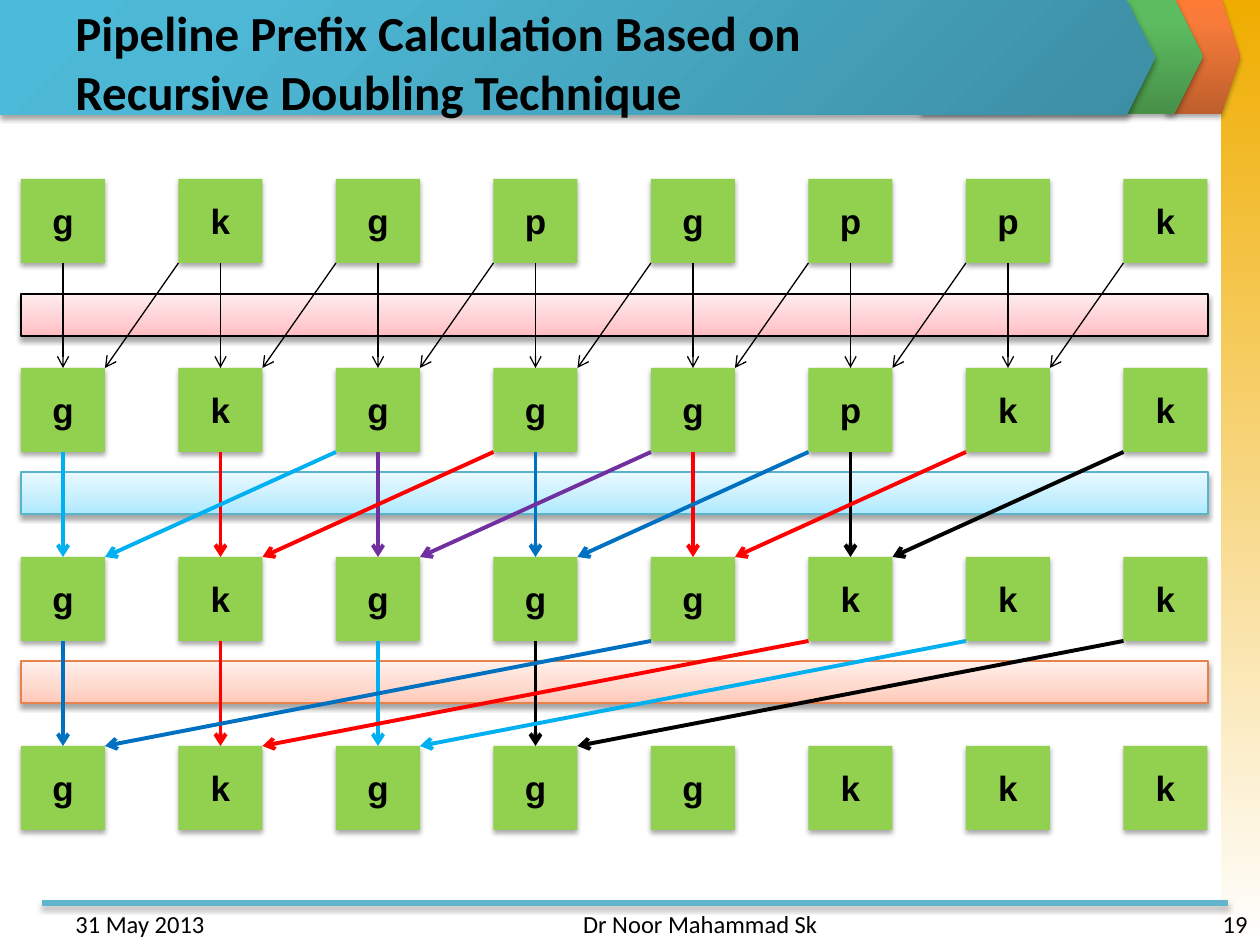
"""Build the slide on pipelined prefix calculation by recursive doubling."""
from dataclasses import dataclass

from lxml.etree import SubElement
from pptx import Presentation
from pptx.dml.color import RGBColor
from pptx.enum.shapes import MSO_CONNECTOR, MSO_SHAPE
from pptx.enum.text import MSO_ANCHOR, PP_ALIGN
from pptx.oxml.ns import qn
from pptx.util import Emu, Pt


@dataclass(frozen=True)
class Theme:
    black: str = "000000"
    red: str = "FF0000"
    blue: str = "0070C0"
    sky: str = "00B0F0"
    purple: str = "7030A0"
    cell: str = "92D050"
    rule: str = "60B5CC"
    sidebar: tuple = ((0, "F0AD00"), (100, "FFFFFF"))
    orange_tab: tuple = ((0, "BE5F2C"), (80, "F77B39"), (100, "FC7B35"))
    green_tab: tuple = ((0, "479149"), (80, "5DBC5F"), (100, "5BBF5E"))
    banner: tuple = ((0, "3C8EA4"), (80, "4DB8D5"), (100, "4BBBD9"))
    pink_bar: tuple = ((0, "FFBCC2"), (35, "FFCFD3"), (100, "FFEDEE"))
    sky_bar: tuple = ((0, "ADE9FF"), (35, "C5EFFF"), (100, "E9F9FF"))
    peach_bar: tuple = ((0, "FFC8B7"), (35, "FFD8CC"), (100, "FFF0EC"))
    sky_edge: str = "5BB3CA"
    peach_edge: str = "E7824C"
    heading_font: str = "Calibri"
    cell_font: str = "Arial"
    title_size: int = 28
    cell_size: int = 20
    footer_size: int = 14
    thin: float = 0.75
    thick: float = 2.25
    rule_width: int = 3


def px(length):
    return Emu(round(length * 914400 / 126))


def write_text(frame, text, *, font, size, color, bold=False,
               align=PP_ALIGN.LEFT, anchor=MSO_ANCHOR.TOP):
    frame.word_wrap = True
    frame.vertical_anchor = anchor
    paragraph = frame.paragraphs[0]
    paragraph.text = text
    paragraph.alignment = align
    for run in paragraph.runs:
        run.font.name = font
        run.font.size = Pt(size)
        run.font.bold = bold
        run.font.color.rgb = RGBColor.from_string(color)


class SlideBuilder:
    def __init__(self, slide, theme):
        self.slide = slide
        self.theme = theme

    def effects(self, item, shadow):
        properties = item._element.spPr
        effect_list = SubElement(properties, qn("a:effectLst"))
        if shadow:
            outer = SubElement(effect_list, qn("a:outerShdw"), blurRad=str(Pt(3.1)),
                               dist=str(Pt(1.8)), dir="5400000", rotWithShape="0")
            color = SubElement(outer, qn("a:srgbClr"), val=self.theme.black)
            SubElement(color, qn("a:alpha"), val="35000")

    def gradient(self, shape, stops, angle):
        shape.fill.gradient()
        fill = shape._element.spPr.find(qn("a:gradFill"))
        for child in list(fill):
            fill.remove(child)
        stop_list = SubElement(fill, qn("a:gsLst"))
        for position, color in stops:
            stop = SubElement(stop_list, qn("a:gs"), pos=str(position * 1000))
            SubElement(stop, qn("a:srgbClr"), val=color)
        if angle is None:
            radial = SubElement(fill, qn("a:path"), path="circle")
            SubElement(radial, qn("a:fillToRect"), l="100000", t="100000")
        else:
            SubElement(fill, qn("a:lin"), ang=str(angle * 60000), scaled="0")

    def shape(self, left, top, width, height, fill, *, kind=MSO_SHAPE.RECTANGLE,
              angle=270, edge=None, shadow=True):
        shape = self.slide.shapes.add_shape(kind, px(left), px(top), px(width), px(height))
        if isinstance(fill, str):
            shape.fill.solid()
            shape.fill.fore_color.rgb = RGBColor.from_string(fill)
        else:
            self.gradient(shape, fill, angle)
        if edge:
            shape.line.color.rgb = RGBColor.from_string(edge)
            shape.line.width = Pt(self.theme.thin)
        else:
            shape.line.fill.background()
        self.effects(shape, shadow)
        return shape

    def tab(self, left, top, width, height, stops, angle=270):
        tab = self.shape(left, top, width, height, stops, kind=MSO_SHAPE.PENTAGON, angle=angle)
        tab.adjustments[0] = 0.25

    def cell(self, left, top, size, text):
        cell = self.shape(left, top, size, size, self.theme.cell)
        write_text(cell.text_frame, text, font=self.theme.cell_font, size=self.theme.cell_size,
                   color=self.theme.black, bold=True, align=PP_ALIGN.CENTER,
                   anchor=MSO_ANCHOR.MIDDLE)

    def text(self, left, top, width, height, text, size, **text_format):
        box = self.slide.shapes.add_textbox(px(left), px(top), px(width), px(height))
        write_text(box.text_frame, text, font=self.theme.heading_font, size=size,
                   color=self.theme.black, **text_format)

    def line(self, start, end, color, width, *, arrow=True, shadow=False):
        line = self.slide.shapes.add_connector(
            MSO_CONNECTOR.STRAIGHT, *(px(value) for value in (*start, *end)))
        line.line.color.rgb = RGBColor.from_string(color)
        line.line.width = Pt(width)
        if arrow:
            SubElement(line._element.spPr.find(qn("a:ln")), qn("a:tailEnd"), type="arrow")
        self.effects(line, shadow)


def draw_frame(builder):
    theme = builder.theme
    builder.shape(1221, 0, 39, 945, theme.sidebar, angle=90, shadow=False)
    builder.tab(1166, -1, 74, 115, theme.orange_tab)
    builder.tab(921, -1, 282, 115, theme.green_tab)
    builder.line((42, 903), (1228, 903), theme.rule, theme.rule_width, arrow=False, shadow=True)
    builder.tab(0, 0, 1155, 115, theme.banner, angle=None)
    builder.text(63, 18, 1134, 87,
                 "Pipeline Prefix Calculation Based on \vRecursive Doubling Technique",
                 theme.title_size, bold=True, anchor=MSO_ANCHOR.MIDDLE)
    for left, width, text, align in (
            (63, 294, "31 May 2013", PP_ALIGN.LEFT),
            (431, 399, "Dr Noor Mahammad Sk", PP_ALIGN.RIGHT),
            (966, 294, "19", PP_ALIGN.RIGHT)):
        builder.text(left, 903, width, 32, text, theme.footer_size, align=align)


def draw_pipeline(builder):
    theme = builder.theme
    margin, first_top, size, row_pitch = 21, 179, 84, 189
    rows = ("gkgpgppk", "gkgggpkk", "gkgggkkk", "gkgggkkk")
    lefts = [margin + column * 315 / 2 for column in range(8)]
    tops = [first_top + row * row_pitch for row in range(len(rows))]
    bars = ((661, theme.peach_bar, theme.peach_edge),
            (472, theme.sky_bar, theme.sky_edge),
            (294, theme.pink_bar, theme.black))
    stages = ((theme.thin, [theme.black] * 7),
              (theme.thick, [theme.sky, theme.red, theme.purple,
                             theme.blue, theme.red, theme.black]),
              (theme.thick, [theme.blue, theme.red, theme.sky, theme.black]))

    for top, stops, edge in bars:
        builder.shape(margin, top, 1187, 42, stops, edge=edge)
    for top, letters in zip(tops, rows):
        for left, letter in zip(lefts, letters):
            builder.cell(left, top, size, letter)
    for stage, (width, colors) in enumerate(stages):
        start, end = tops[stage] + size, tops[stage + 1]
        for column, color in reversed(list(enumerate(colors))):
            left = lefts[column]
            center = left + size / 2
            builder.line((center, start), (center, end), color, width)
            builder.line((lefts[column + 2 ** stage], start), (left + size, end), color, width)


def main():
    presentation = Presentation()
    presentation.slide_width, presentation.slide_height = px(1260), px(945)
    slide = presentation.slides.add_slide(presentation.slide_layouts[6])
    builder = SlideBuilder(slide, Theme())
    draw_frame(builder)
    draw_pipeline(builder)
    presentation.save("out.pptx")


if __name__ == "__main__":
    main()
